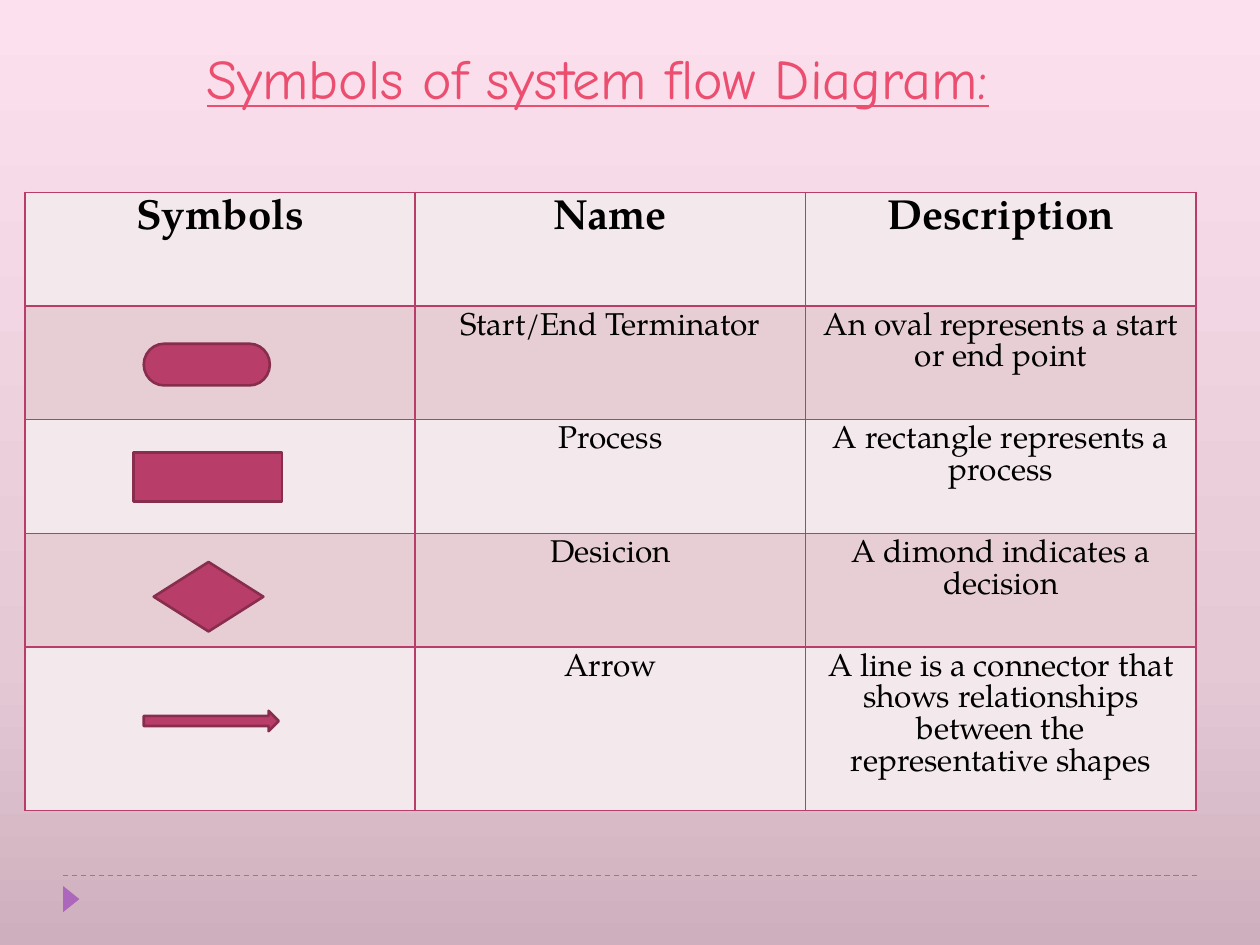
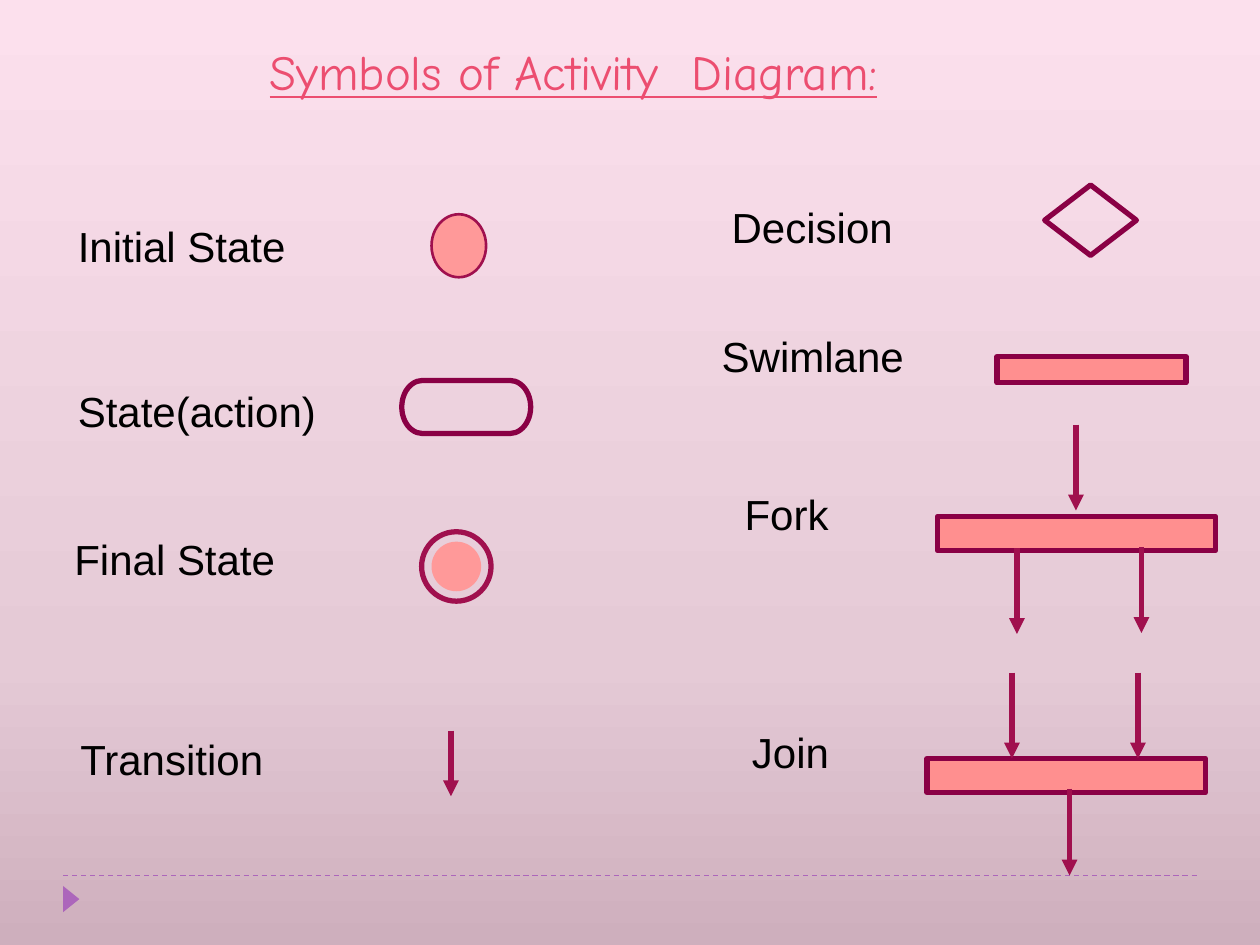
from copy import deepcopy

from lxml import etree
from pptx import Presentation
from pptx.dml.color import RGBColor
from pptx.enum import dml, shapes, text
from pptx.oxml.ns import qn
from pptx.util import Cm, Pt

KIND = shapes.MSO_SHAPE
ROSE, EDGE, WINE, PLUM = "B83D68", "882D4D", "A0104E", "8A0045"
PINK, CORAL, LILAC, TITLE = "FF9999", "FF8F8F", "AC66BB", "EC4E70"
BACK = [(0, "CEAFBD"), (0.3, "E5CAD6"), (1, "FCE0ED")]
BANDS = ["F3E8EB", "E6CED4"]

# Flow symbols: table rows, then the shape in the first column (x, y, w, h in cm)
ROWS = [
    ("Symbols", "Name", "Description"),
    ("", "Start/End Terminator", "An oval represents a start or end point"),
    ("", "Process", "A rectangle represents a process"),
    ("", "Desicion", "A dimond indicates a decision"),
    ("", "Arrow", "A line is a connector that shows relationships "
                  "between the representative shapes"),
]
HEIGHTS = [2.29] * 4 + [3.3]
FLOW = [
    (KIND.FLOWCHART_TERMINATOR, 2.9, 6.93, 2.54, 0.84),
    (KIND.RECTANGLE, 2.69, 9.12, 3, 0.99),
    (KIND.FLOWCHART_DECISION, 3.1, 11.33, 2.21, 1.4),
    (KIND.RIGHT_ARROW, 2.9, 14.33, 2.72, 0.41),
]

# Activity symbols: labels (x, y, w), shapes (place, fill, line, width), arrows (x, y, length)
LABELS = [
    ("Initial State", 1.32, 4.32, 6.68),
    ("State(action)", 1.32, 7.65, 7.32),
    ("Final State", 1.25, 10.64, 6.73),
    ("Transition", 1.37, 14.66, 5.77),
    ("Decision", 14.5, 3.94, 5.05),
    ("Swimlane", 14.3, 6.53, 5.16),
    ("Fork", 14.76, 9.73, 4.34),
    ("Join", 14.91, 14.53, 3.51),
]
BAR = (5.61, 0.69)
ACTS = [
    (KIND.OVAL, (8.7, 4.32, 1.1, 1.27), PINK, WINE, 1.5),
    (KIND.FLOWCHART_TERMINATOR, (8.1, 7.67, 2.6, 1.07), None, PLUM, 3),
    (KIND.OVAL, (8.5, 10.72, 1.4, 1.4), None, WINE, 3),
    (KIND.OVAL, (8.7, 10.92, 1, 1), PINK, None, 0),
    (KIND.DIAMOND, (21.06, 3.73, 1.85, 1.42), None, PLUM, 3),
    (KIND.RECTANGLE, (20.1, 7.19, 3.81, 0.53), CORAL, PLUM, 3),
    (KIND.RECTANGLE, (18.9, 10.41, *BAR), CORAL, PLUM, 3),
    (KIND.RECTANGLE, (18.69, 15.29, *BAR), CORAL, PLUM, 3),
]
ARROWS = [
    (9.09, 14.73, 1.32),
    (21.69, 8.56, 1.73), (20.5, 11.05, 1.73), (23.01, 11.03, 1.73),
    (20.4, 13.56, 1.73), (22.94, 13.56, 1.73), (21.56, 15.9, 1.75),
]


def rgb(code):
    return RGBColor.from_string(code)


def style(para, name, size, color, bold=False):
    font = para.font
    font.name, font.size, font.bold = name, Pt(size), bold
    font.color.rgb = rgb(color)


def shape(slide, kind, place, fill, line=None, width=0):
    item = slide.shapes.add_shape(kind, *map(Cm, place))
    item.shadow.inherit = False
    if fill:
        item.fill.solid()
        item.fill.fore_color.rgb = rgb(fill)
    else:
        item.fill.background()
    if line:
        item.line.color.rgb = rgb(line)
        item.line.width = Pt(width)
    else:
        item.line.fill.background()
    return item


def rule(slide, start, end, color, width):
    line = slide.shapes.add_connector(
        shapes.MSO_CONNECTOR.STRAIGHT, *map(Cm, start + end))
    line.line.color.rgb = rgb(color)
    line.line.width = Pt(width)
    etree.SubElement(line.element.spPr, qn("a:effectLst"))
    return line


def arrow(slide, x, y, size):
    line = rule(slide, (x, y), (x, y + size), WINE, 3)
    edge = line.element.spPr.find(qn("a:ln"))
    etree.SubElement(edge, qn("a:tailEnd"), type="triangle")


def paint(master):
    """Give the master its three-stop gradient, dark at the bottom."""
    fill = master.background.fill
    fill.gradient()
    fill.gradient_angle = 90
    stops = master.element.find(".//" + qn("a:gsLst"))
    stops.append(deepcopy(stops[-1]))
    for stop, (pos, color) in zip(fill.gradient_stops, BACK):
        stop.color.rgb = rgb(color)
        stop.position = pos


def page(prs, words, place, size):
    """Add a slide with its title and the footer marks."""
    slide = prs.slides.add_slide(prs.slide_layouts[5])
    foot = rule(slide, (1.27, 17.65), (24.13, 17.65), LILAC, 0.75)
    foot.line.dash_style = dml.MSO_LINE.DASH
    mark = shape(slide, KIND.ISOSCELES_TRIANGLE, (1.17, 17.96, 0.53, 0.33), LILAC)
    mark.rotation = 90
    head = slide.shapes.title
    head.left, head.top, head.width, head.height = map(Cm, place)
    frame = head.text_frame
    frame.text = words
    frame.word_wrap = True
    frame.auto_size = text.MSO_AUTO_SIZE.NONE
    frame.vertical_anchor = text.MSO_ANCHOR.TOP
    para = frame.paragraphs[0]
    para.alignment = text.PP_ALIGN.LEFT
    style(para, "Comic Neue", size, TITLE)
    para.font.underline = True
    return slide


def border(cell):
    props = cell._tc.get_or_add_tcPr()
    for side in ("lnL", "lnR", "lnT", "lnB"):
        line = etree.SubElement(props, qn("a:" + side), w=str(Pt(1)))
        fill = etree.SubElement(line, qn("a:solidFill"))
        etree.SubElement(fill, qn("a:srgbClr"), val=ROSE)


def grid(slide):
    table = slide.shapes.add_table(
        len(ROWS), len(ROWS[0]), Cm(0.5), Cm(3.88), Cm(23.61), Cm(sum(HEIGHTS))).table
    for i, (row, high) in enumerate(zip(ROWS, HEIGHTS)):
        table.rows[i].height = Cm(high)
        for j, words in enumerate(row):
            cell = table.cell(i, j)
            border(cell)
            cell.fill.solid()
            cell.fill.fore_color.rgb = rgb(BANDS[i % 2])
            if words:
                cell.text = words
                para = cell.text_frame.paragraphs[0]
                para.alignment = text.PP_ALIGN.CENTER
                style(para, "TeX Gyre Pagella", 18 if i else 24, "000000", i == 0)


def label(slide, words, x, y, wide):
    frame = slide.shapes.add_textbox(Cm(x), Cm(y), Cm(wide), Cm(1.27)).text_frame
    frame.word_wrap = True
    frame.text = words
    style(frame.paragraphs[0], "Arial", 24, "000000")


def main():
    prs = Presentation()
    prs.slide_width, prs.slide_height = Cm(25.4), Cm(19.05)
    paint(prs.slide_master)

    flow = page(prs, "Symbols of system flow Diagram:", (3.91, 0.74, 18.75, 2.39), 32)
    grid(flow)
    for kind, *place in FLOW:
        shape(flow, kind, place, ROSE, EDGE, 1.5)

    act = page(prs, "Symbols of Activity  Diagram:", (5.18, 0.71, 14.94, 1.45), 28)
    for item in LABELS:
        label(act, *item)
    for item in ACTS:
        shape(act, *item)
    for item in ARROWS:
        arrow(act, *item)

    prs.save("out.pptx")


if __name__ == "__main__":
    main()
